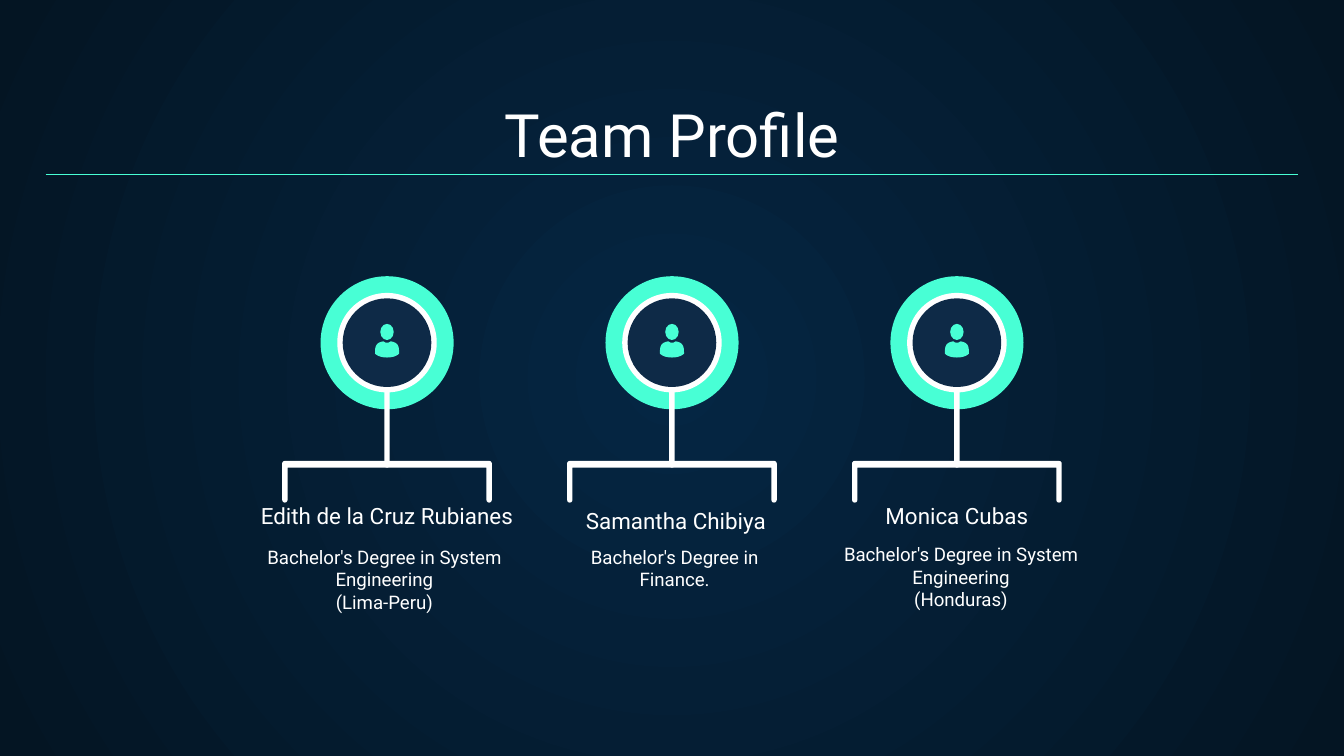
import math

from lxml import etree
from pptx import Presentation
from pptx import util as u
from pptx.dml import color as c
from pptx.enum import shapes, text
from pptx.oxml import ns

WHITE, MINT, NAVY = "FFFFFF", "48FFD5", "0E2A47"
OVAL, ROUNDED = shapes.MSO_SHAPE.OVAL, shapes.MSO_SHAPE.ROUNDED_RECTANGLE
TOP, BOTTOM = text.MSO_ANCHOR.TOP, text.MSO_ANCHOR.BOTTOM

CENTER, PITCH = 5, 2.12
MEMBER_TOP, MEMBER_WIDTH, MEMBER_HEIGHT = 2.06, 2.27, 2.67
MEMBERS = [
    {"name": "Edith de la Cruz Rubianes", "name_at": (0, 1.77),
     "degree": ["Bachelor's Degree in System Engineering", "(Lima-Peru)"], "degree_at": (-0.02, 1.9)},
    {"name": "Samantha Chibiya", "name_at": (0.03, 1.8),
     "degree": ["Bachelor's Degree in Finance."], "degree_at": (0.02, 1.9)},
    {"name": "Monica Cubas", "name_at": (0, 1.77),
     "degree": ["Bachelor's Degree in System Engineering", "(Honduras)"], "degree_at": (0.03, 1.88)},
]


def color(value):
    return c.RGBColor.from_string(value)


def paint(sp, fill):
    sp.shadow.inherit = False
    sp.fill.solid()
    sp.fill.fore_color.rgb = color(fill)
    sp.line.fill.background()
    return sp


def add_preset(parent, kind, cx, cy, w, h, fill):
    sp = parent.add_shape(kind, u.Inches(cx - w / 2), u.Inches(cy - h / 2), u.Inches(w), u.Inches(h))
    return paint(sp, fill)


def add_outline(parent, points, fill):
    points = [(u.Inches(x), u.Inches(y)) for x, y in points]
    builder = parent.build_freeform(*points[0])
    builder.add_line_segments(points[1:], close=True)
    return paint(builder.convert_to_shape(), fill)


def arc(cx, cy, radius, start, end, steps=6):
    angles = [math.radians(start + (end - start) * i / steps) for i in range(steps + 1)]
    return [(cx + radius * math.cos(a), cy + radius * math.sin(a)) for a in angles]


def curve(*controls, steps=8):
    points = []
    for i in range(steps + 1):
        t = i / steps
        weights = ((1 - t) ** 3, 3 * t * (1 - t) ** 2, 3 * t * t * (1 - t), t ** 3)
        points.append(tuple(sum(k * p[n] for k, p in zip(weights, controls)) for n in (0, 1)))
    return points


def mirrored(right, cx, top):
    left = [(-x, y) for x, y in reversed(right)]
    return [(cx + x, top + y) for x, y in right + left]


def add_text(slide, lines, box, size, anchor):
    tf = slide.shapes.add_textbox(*map(u.Inches, box)).text_frame
    margins = dict.fromkeys(("margin_left", "margin_right", "margin_top", "margin_bottom"), u.Inches(0.1))
    for key, value in {"word_wrap": True, "vertical_anchor": anchor, **margins}.items():
        setattr(tf, key, value)
    for i, line in enumerate(lines):
        p = tf.paragraphs[0] if i == 0 else tf.add_paragraph()
        p.alignment = text.PP_ALIGN.CENTER
        r = p.add_run()
        r.text = line
        for key, value in {"name": "Roboto", "size": u.Pt(size)}.items():
            setattr(r.font, key, value)
        r.font.color.rgb = color(WHITE)


def add_background(slide):
    fill = slide.background.fill
    fill.gradient()
    for stop, value in zip(fill.gradient_stops, ("052643", "041523")):
        stop.color.rgb = color(value)
    grad = slide.element.find(".//" + ns.qn("a:gradFill"))
    for lin in grad.findall(ns.qn("a:lin")):
        grad.remove(lin)
    radial = etree.SubElement(grad, ns.qn("a:path"), {"path": "circle"})
    etree.SubElement(radial, ns.qn("a:fillToRect"), dict.fromkeys("ltrb", "50000"))


def add_header(slide, left, top, width, height):
    add_text(slide, ["Team Profile"], (left, top, width, height), 32, BOTTOM)
    y = u.Inches(top + 0.6)
    rule = slide.shapes.add_connector(
        shapes.MSO_CONNECTOR.STRAIGHT, u.Inches(left), y, u.Inches(left + width), y)
    rule.line.color.rgb = color(MINT)
    rule.line.width = u.Pt(0.75)
    etree.SubElement(rule.element.spPr, ns.qn("a:effectLst"))


def add_bracket(slide, cx, top):
    half, height, r = 0.78, 0.31, 0.02
    right = arc(half - r, r, r, -90, 0) + arc(half - r, height - r, r, 0, 180)
    right.append((half - 2 * r, 0.05))
    add_outline(slide.shapes, mirrored(right, cx, top), WHITE)


def add_person(slide, cx, top):
    person = slide.shapes.add_group_shape().shapes
    add_preset(person, OVAL, cx, top + 0.06, 0.1, 0.12, MINT)
    right = (curve((0, 0.14), (0.02, 0.14), (0.02, 0.13), (0.03, 0.13))
             + curve((0.03, 0.13), (0.08, 0.14), (0.09, 0.16), (0.09, 0.22))
             + curve((0.09, 0.22), (0.09, 0.22), (0.07, 0.25), (0, 0.25)))
    add_outline(person, mirrored(right, cx, top), MINT)


def add_member(slide, member, left, top, width, height):
    cx, cy = left + width / 2, top + 0.49
    add_bracket(slide, cx, top + 1.37)
    add_preset(slide.shapes, OVAL, cx, cy, 0.99, 0.99, MINT)
    stem = add_preset(slide.shapes, ROUNDED, cx, top + 0.92, 0.04, 1, WHITE)
    stem.adjustments[0] = 0.5
    add_preset(slide.shapes, OVAL, cx, cy, 0.74, 0.74, WHITE)
    add_preset(slide.shapes, OVAL, cx, cy, 0.66, 0.66, NAVY)
    add_person(slide, cx, top + 0.35)
    dx, dy = member["name_at"]
    add_text(slide, [member["name"]], (left + dx, top + dy, width, 0.21), 12, BOTTOM)
    dx, dy = member["degree_at"]
    add_text(slide, member["degree"], (left + 0.15 + dx, top + dy, width - 0.3, height - 1.9), 10, TOP)


def main():
    prs = Presentation()
    prs.slide_width = u.Inches(10)
    prs.slide_height = prs.slide_width * 9 // 16
    slide = prs.slides.add_slide(prs.slide_layouts[6])
    add_background(slide)
    add_header(slide, 0.34, 0.7, 9.32, 0.66)
    for i, member in enumerate(MEMBERS):
        left = CENTER + (i - 1) * PITCH - MEMBER_WIDTH / 2
        add_member(slide, member, left, MEMBER_TOP, MEMBER_WIDTH, MEMBER_HEIGHT)
    prs.save("out.pptx")


if __name__ == "__main__":
    main()
